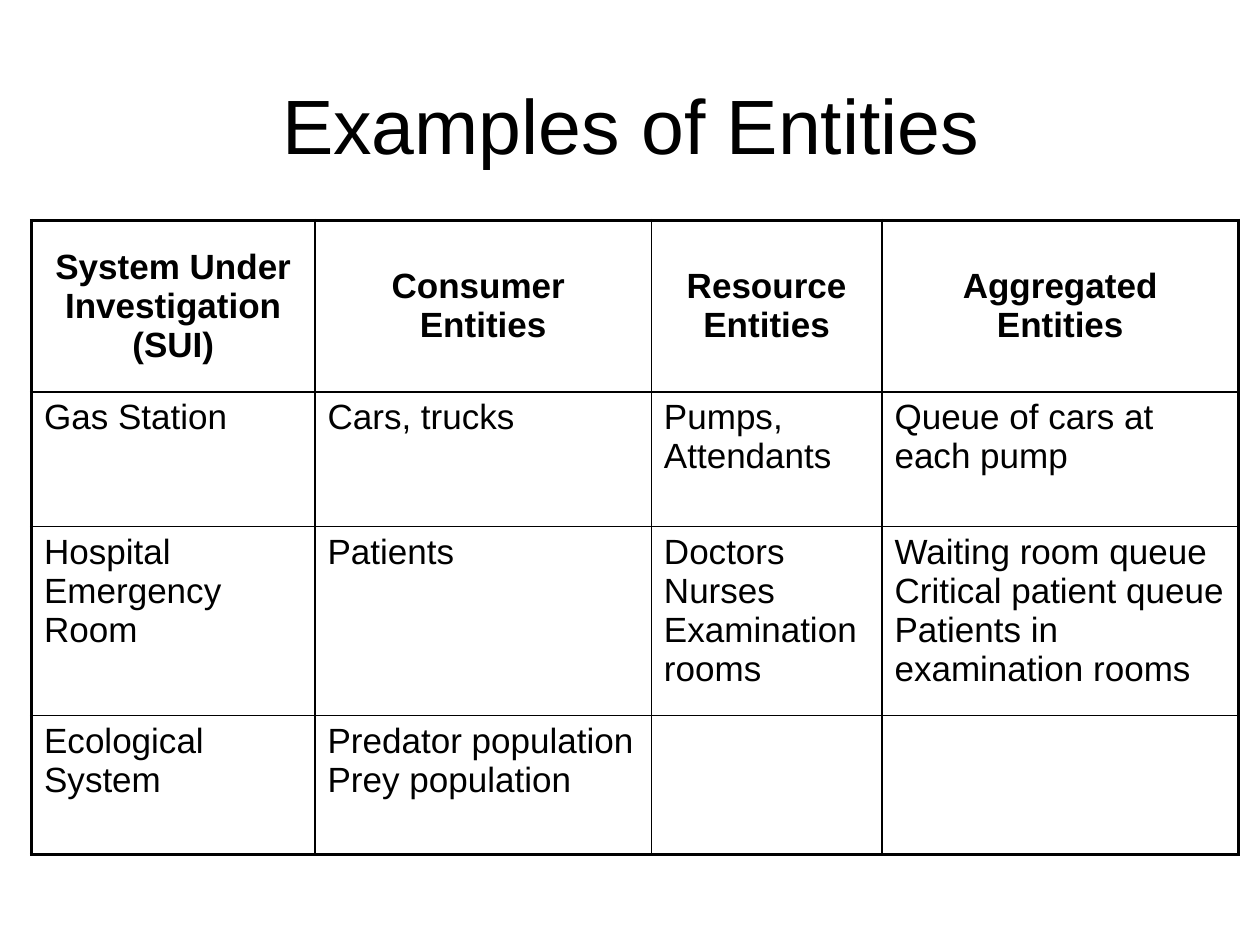
"""Build a slide with a table of example entities for three systems."""
import pptx
import pptx.util
import pptx.dml.color
import pptx.enum.text
import pptx.oxml
import pptx.oxml.ns

Inches = pptx.util.Inches
Align = pptx.enum.text.PP_ALIGN
Anchor = pptx.enum.text.MSO_ANCHOR
COLORS = {"ink": "000000", "paper": "FFFFFF"}
WIDTHS = [2.25, 2.67, 1.83, 2.83]
HEIGHTS = [1.36, 1.07, 1.5, 1.1]
ROWS = [
    ["System Under Investigation (SUI)", "Consumer \nEntities",
     "Resource Entities", "Aggregated\nEntities"],
    ["Gas Station", "Cars, trucks", "Pumps, Attendants",
     "Queue of cars at each pump"],
    ["Hospital Emergency Room", "Patients",
     "Doctors\nNurses\nExamination rooms",
     "Waiting room queue\nCritical patient queue\nPatients in examination rooms"],
    ["Ecological System", "Predator population\nPrey population", "", ""],
]


def write(frame, text, size=20, bold=False, align=Align.LEFT):
    frame.word_wrap = True
    for n, line in enumerate(text.split("\n")):
        para = frame.paragraphs[0] if n == 0 else frame.add_paragraph()
        para.alignment = align
        para.font.size = pptx.util.Pt(size)
        if line:
            run = para.add_run()
            run.text = line
            run.font.name = "Arial"
            run.font.size = pptx.util.Pt(size)
            run.font.bold = bold
            run.font.color.rgb = pptx.dml.color.RGBColor.from_string(COLORS["ink"])


def edge(cell, side, width):
    cell._tc.get_or_add_tcPr().append(pptx.oxml.parse_xml(
        f'<a:ln{side} {pptx.oxml.ns.nsdecls("a")} w="{pptx.util.Pt(width)}">'
        f'<a:solidFill><a:srgbClr val="{COLORS["ink"]}"/></a:solidFill></a:ln{side}>'))


deck = pptx.Presentation()
deck.slide_width, deck.slide_height = Inches(10), Inches(7.5)
slide = deck.slides.add_slide(deck.slide_layouts[6])

title = slide.shapes.add_textbox(Inches(0.51), Inches(0.36), Inches(9), Inches(1.25))
write(title.text_frame, "Examples of Entities", size=44, align=Align.CENTER)
title.text_frame.vertical_anchor = Anchor.MIDDLE

table = slide.shapes.add_table(
    len(HEIGHTS), len(WIDTHS), Inches(0.25), Inches(1.75),
    Inches(sum(WIDTHS)), Inches(sum(HEIGHTS))).table
table.horz_banding = False
for col, width in zip(table.columns, WIDTHS):
    col.width = Inches(width)
for row, height in zip(table.rows, HEIGHTS):
    row.height = Inches(height)

for r, texts in enumerate(ROWS):
    for c, text in enumerate(texts):
        cell = table.cell(r, c)
        head = r == 0
        write(cell.text_frame, text, bold=head,
              align=Align.CENTER if head else Align.LEFT)
        cell.vertical_anchor = Anchor.MIDDLE if head else Anchor.TOP
        outer = {"L": c == 0, "R": c == len(WIDTHS) - 1,
                 "T": head, "B": r == len(HEIGHTS) - 1}
        for side, thick in outer.items():
            edge(cell, side, 2 if thick else 1)
        cell.fill.solid()
        cell.fill.fore_color.rgb = pptx.dml.color.RGBColor.from_string(COLORS["paper"])

deck.save("out.pptx")
